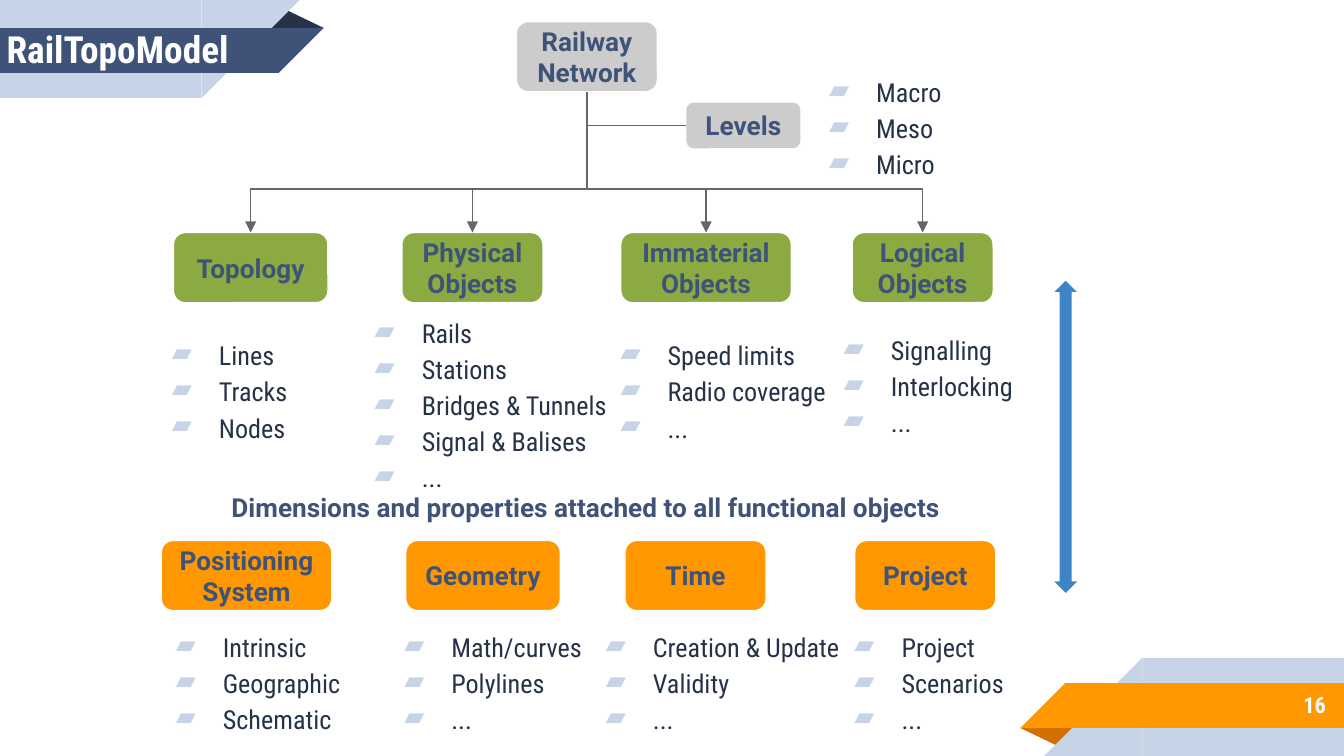
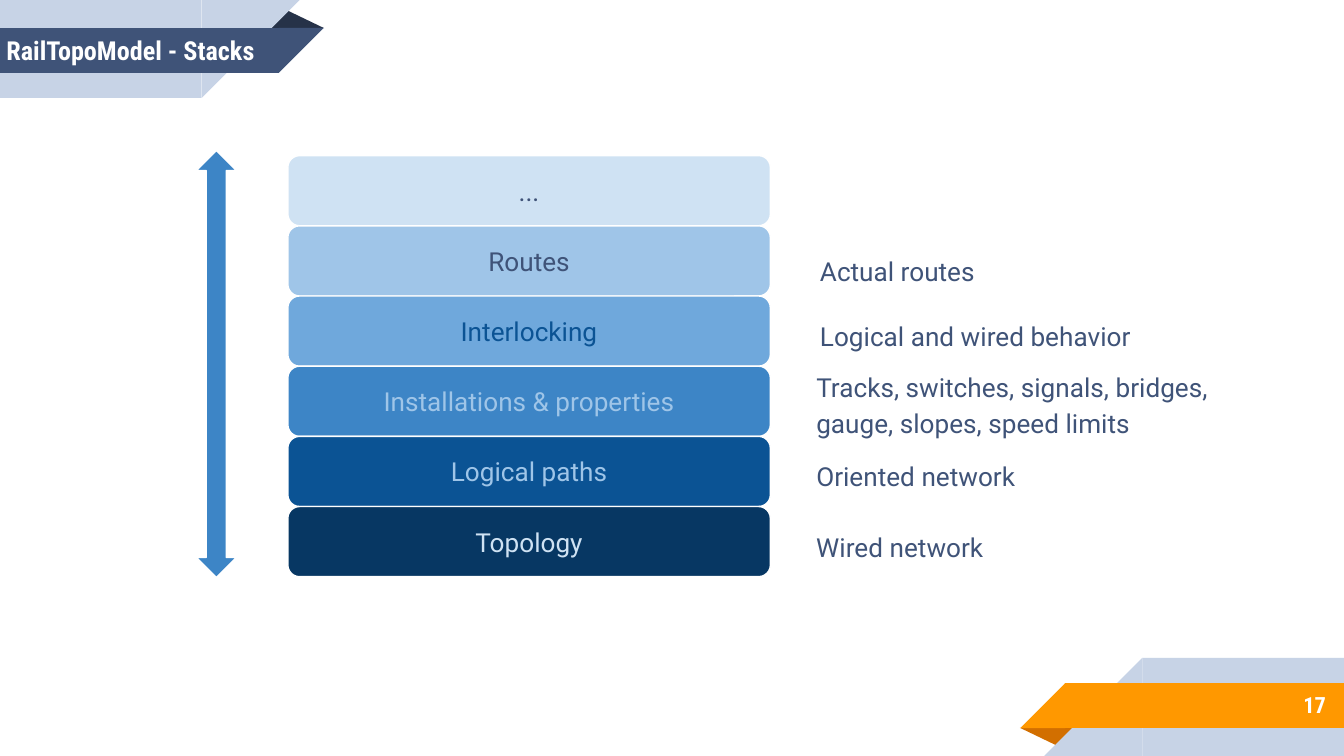
"""Build two slides on the RailTopoModel: its object tree and its layer stack."""
from collections import namedtuple
from dataclasses import dataclass

from lxml import etree
from pptx import Presentation
from pptx.dml.color import RGBColor
from pptx.enum import shapes, text
from pptx.oxml.ns import qn
from pptx.util import Pt

Box = namedtuple("Box", "left top width height")
Column = namedtuple("Column", "label left width list_left list_drop list_width items")
Layer = namedtuple("Layer", "label fill ink note note_left note_drop note_width")
Shape = shapes.MSO_SHAPE


@dataclass(frozen=True)
class Theme:
    """Colours, fonts and type sizes shared by the slides."""
    navy: str = "3F5378"
    dark: str = "263248"
    pale: str = "C7D3E6"
    orange: str = "FF9800"
    rust: str = "D26F00"
    green: str = "8BAB42"
    grey: str = "CCCCCC"
    line: str = "666666"
    white: str = "FFFFFF"
    blue: str = "3D85C6"
    deep_blue: str = "0B5394"
    night_blue: str = "073763"
    mid_blue: str = "6FA8DC"
    soft_blue: str = "9FC5E8"
    ice_blue: str = "CFE2F3"
    body_font: str = "Roboto"
    condensed: str = "Roboto Condensed"
    title_size: int = 20
    body_size: int = 14
    number_size: int = 12
    hairline: float = 0.75
    leading: float = 1.15
    inset: float = 7.2


THEME = Theme()
SLIDE = Box(0, 0, 720, 405)
NODE_HEIGHT = 37.6
LIST_HEIGHT = 93

FUNCTIONAL = [
    Column("Topology", 20.9, 82.8, 2.2, 37.4, 120.24, ["Lines", "Tracks", "Nodes"]),
    Column("Physical Objects", 143.3, 75.6, 110.9, 44.6, 153.4,
           ["Rails", "Stations", "Bridges & Tunnels", "Signal & Balises", "..."]),
    Column("Immaterial Objects", 260.6, 91.4, 242.6, 37.4, 144,
           ["Speed limits", "Radio coverage", "..."]),
    Column("Logical Objects", 384.5, 75.6, 362.2, 34.5, 120.24,
           ["Signalling", "Interlocking", "..."]),
]
DIMENSIONS = [
    Column("Positioning System", 14.4, 91.4, 4.3, 28.8, 120.24,
           ["Intrinsic", "Geographic", "Schematic"]),
    Column("Geometry", 145.4, 82.8, 126.7, 28.8, 120.24,
           ["Math/curves", "Polylines", "..."]),
    Column("Time", 262.8, 75.6, 234.7, 28.8, 152,
           ["Creation & Update", "Validity", "..."]),
    Column("Project", 385.9, 75.6, 367.9, 28.8, 120.24,
           ["Project", "Scenarios", "..."]),
]
LAYERS = [
    Layer("...", THEME.ice_blue, THEME.navy, "", 0, 0, 0),
    Layer("Routes", THEME.soft_blue, THEME.navy, "Actual routes", 327, 6.3, 127),
    Layer("Interlocking", THEME.mid_blue, THEME.deep_blue,
          "Logical and wired behavior", 327, 3.3, 194),
    Layer("Installations & properties", THEME.blue, THEME.soft_blue,
          "Tracks, switches, signals, bridges, gauge, slopes, speed limits", 325, -7, 258.5),
    Layer("Logical paths", THEME.deep_blue, THEME.soft_blue, "Oriented network", 325, 3, 130.3),
    Layer("Topology", THEME.night_blue, THEME.ice_blue, "Wired network", 325, 3.5, 117.4),
]


def points(*lengths):
    """Turn plain numbers into point lengths."""
    return [Pt(length) for length in lengths]


def colour(value):
    """Turn a hex string into a colour."""
    return RGBColor.from_string(value)


def add_shape(holder, kind, box, fill, outline=None):
    """Add a flat preset shape."""
    shape = holder.shapes.add_shape(kind, *points(*box))
    shape.shadow.inherit = False
    shape.fill.solid()
    shape.fill.fore_color.rgb = colour(fill)
    if outline:
        shape.line.color.rgb = colour(outline)
        shape.line.width = Pt(THEME.hairline)
    else:
        shape.line.fill.background()
    return shape


def write(shape, lines, ink=THEME.navy, font=THEME.body_font, size=THEME.body_size,
          bold=False, align=text.PP_ALIGN.LEFT, anchor=text.MSO_ANCHOR.MIDDLE, leading=None):
    """Fill a shape with evenly styled paragraphs."""
    frame = shape.text_frame
    frame.word_wrap = True
    frame.vertical_anchor = anchor
    frame.margin_left = frame.margin_right = Pt(THEME.inset)
    frame.margin_top = frame.margin_bottom = Pt(THEME.inset)
    frame.text = "\n".join(lines)
    for para in frame.paragraphs:
        para.alignment = align
        para.line_spacing = leading
        para.font.name = font
        para.font.size = Pt(size)
        para.font.bold = bold
        para.font.color.rgb = colour(ink)
    return frame


def add_text(page, box, lines, **style):
    """Add a text box."""
    return write(page.shapes.add_textbox(*points(*box)), lines, **style)


def add_caption(page, box, words, **style):
    """Add a top-anchored text box that grows with its words."""
    frame = add_text(page, box, [words], anchor=text.MSO_ANCHOR.TOP, **style)
    frame.auto_size = text.MSO_AUTO_SIZE.SHAPE_TO_FIT_TEXT


def add_node(page, box, label, fill, ink=THEME.navy, bold=True):
    """Add a rounded, labelled box."""
    node = add_shape(page, Shape.ROUNDED_RECTANGLE, box, fill, THEME.white)
    write(node, [label], ink=ink, bold=bold, align=text.PP_ALIGN.CENTER)


def add_bullets(page, box, items):
    """Add a bulleted list."""
    frame = add_text(page, box, items, ink=THEME.dark, font=THEME.condensed,
                     leading=THEME.leading)
    for para in frame.paragraphs:
        props = para._p.get_or_add_pPr()
        props.set("marL", str(Pt(36)))
        props.set("indent", str(-Pt(25.2)))
        tint = etree.SubElement(props, qn("a:buClr"))
        etree.SubElement(tint, qn("a:srgbClr"), val=THEME.pale)
        etree.SubElement(props, qn("a:buChar"), char="▰")
        props.append(props.find(qn("a:defRPr")))


def add_elbow(page, start, end, bend=None):
    """Draw a line that leaves downward; with a bend share it ends in an arrow."""
    connector = page.shapes.add_connector(
        shapes.MSO_CONNECTOR.ELBOW, *points(*start, *end))
    across, down = abs(end[0] - start[0]), end[1] - start[1]
    middle = (start[0] + end[0]) / 2, (start[1] + end[1]) / 2
    connector.left, connector.top, connector.width, connector.height = points(
        middle[0] - down / 2, middle[1] - across / 2, down, across)
    connector.line.color.rgb = colour(THEME.line)
    connector.line.width = Pt(THEME.hairline)
    props = connector._element.spPr
    frame = props.find(qn("a:xfrm"))
    leftward = end[0] < start[0]
    frame.set("rot", str((90 if leftward else 270) * 60000))
    frame.set("flipH", "0" if leftward else "1")
    frame.set("flipV", "0")
    geometry = props.find(qn("a:prstGeom"))
    if bend is None:
        geometry.set("prst", "bentConnector2")
    else:
        etree.SubElement(geometry.find(qn("a:avLst")), qn("a:gd"),
                         name="adj1", fmla=f"val {round(bend * 100000)}")
        etree.SubElement(props.find(qn("a:ln")), qn("a:tailEnd"), type="triangle")
    etree.SubElement(props, qn("a:effectLst"))


def add_ribbon(page, front, fold, footer=False):
    """Draw the corner ribbon; the footer is the header turned half round."""
    group = page.shapes.add_group_shape()
    parts = [
        (Shape.ISOSCELES_TRIANGLE, Box(142.6, 5, 31, 10.1), fold),
        (Shape.RECTANGLE, Box(0, 0, 108, 52.5), THEME.pale),
        (Shape.RIGHT_TRIANGLE, Box(108, 0, 52.5, 52.5), THEME.pale),
        (Shape.RECTANGLE, Box(0, 15, 149.5, 24), front),
        (Shape.RIGHT_TRIANGLE, Box(149.3, 15, 24, 24), front),
    ]
    for kind, box, fill in parts:
        if footer:
            box = box._replace(left=SLIDE.width - box.left - box.width,
                               top=SLIDE.height - box.top - box.height)
        shape = add_shape(group, kind, box, fill)
        is_fold = kind == Shape.ISOSCELES_TRIANGLE
        shape.rotation = 180 if is_fold == footer else 0
        if is_fold:
            shape.adjustments[0] = 0.324
        else:
            shape._element.spPr.find(qn("a:xfrm")).set("flipH", "1")


def add_page(deck, number, title, title_box, title_size):
    """Add a blank slide with ribbons, title and page number."""
    page = deck.slides.add_slide(deck.slide_layouts[6])
    add_ribbon(page, THEME.orange, THEME.rust, footer=True)
    add_ribbon(page, THEME.navy, THEME.dark)
    style = dict(ink=THEME.white, font=THEME.condensed, bold=True)
    add_text(page, Box(600, 365, 117.4, 25.2), [str(number)], size=THEME.number_size,
             align=text.PP_ALIGN.RIGHT, **style)
    add_text(page, title_box, [title], size=title_size, **style)
    return page


def add_row(page, area, fill, columns):
    """Place labelled boxes with their lists and return the boxes' top centres."""
    for column in columns:
        add_node(page, Box(area.left + column.left, area.top, column.width, NODE_HEIGHT),
                 column.label, fill)
        add_bullets(page, Box(area.left + column.list_left, area.top + column.list_drop,
                              column.list_width, LIST_HEIGHT), column.items)
    return [(area.left + column.left + column.width / 2, area.top) for column in columns]


def add_root(page, area, targets):
    """Place the network box and its levels, and link it to the targets."""
    left, top = area.left, area.top
    add_node(page, Box(left, top, 75.6, NODE_HEIGHT), "Railway Network", THEME.grey)
    add_node(page, Box(left + 90.7, top + 43, 61.9, 25.2), "Levels", THEME.grey)
    add_bullets(page, Box(left + 149.7, top + 9.2, 120.24, LIST_HEIGHT),
                ["Macro", "Meso", "Micro"])
    start = left + 37.8, top + NODE_HEIGHT
    for target in targets:
        add_elbow(page, start, target, bend=0.69)
    add_elbow(page, start, (left + 90.7, top + 55.6))


def add_stack(page, area, layers):
    """Place the double arrow, the layers from the top down, and their notes."""
    add_shape(page, Shape.UP_DOWN_ARROW, Box(area.left, area.top, 21.4, area.height),
              THEME.blue, THEME.white)
    for index, layer in enumerate(layers):
        top = area.top + 2.7 + index * NODE_HEIGHT
        add_node(page, Box(area.left + 49, top, 258.5, NODE_HEIGHT),
                 layer.label, layer.fill, layer.ink, bold=False)
        if layer.note:
            add_caption(page, Box(area.left + layer.note_left, top + layer.note_drop,
                                  layer.note_width, 31.7), layer.note, leading=THEME.leading)


def build_model(deck):
    """Build the slide with the object tree."""
    page = add_page(deck, 16, "RailTopoModel", Box(-3.6, 0, 147.6, 52), THEME.title_size)
    targets = add_row(page, Box(72, 124.6, 480, 130), THEME.green, FUNCTIONAL)
    add_root(page, Box(276.6, 11.6, 270, 113), targets)
    add_row(page, Box(72, 289.6, 480, 120), THEME.orange, DIMENSIONS)
    add_shape(page, Shape.UP_DOWN_ARROW, Box(563.8, 149.8, 14.2, 168.5),
              THEME.blue, THEME.white)
    add_caption(page, Box(23, 256.3, 581.8, 31.7),
                "Dimensions and properties attached to all functional objects",
                bold=True, align=text.PP_ALIGN.CENTER)


def build_stacks(deck):
    """Build the slide with the layer stack."""
    page = add_page(deck, 17, "RailTopoModel - Stacks", Box(-3.6, 10.4, 196.6, 32.4),
                    THEME.body_size)
    add_stack(page, Box(105.2, 80.7, 580, 228.7), LAYERS)


def main():
    """Build and save the deck."""
    deck = Presentation()
    deck.slide_width, deck.slide_height = points(SLIDE.width, SLIDE.height)
    build_model(deck)
    build_stacks(deck)
    deck.save("out.pptx")


if __name__ == "__main__":
    main()
